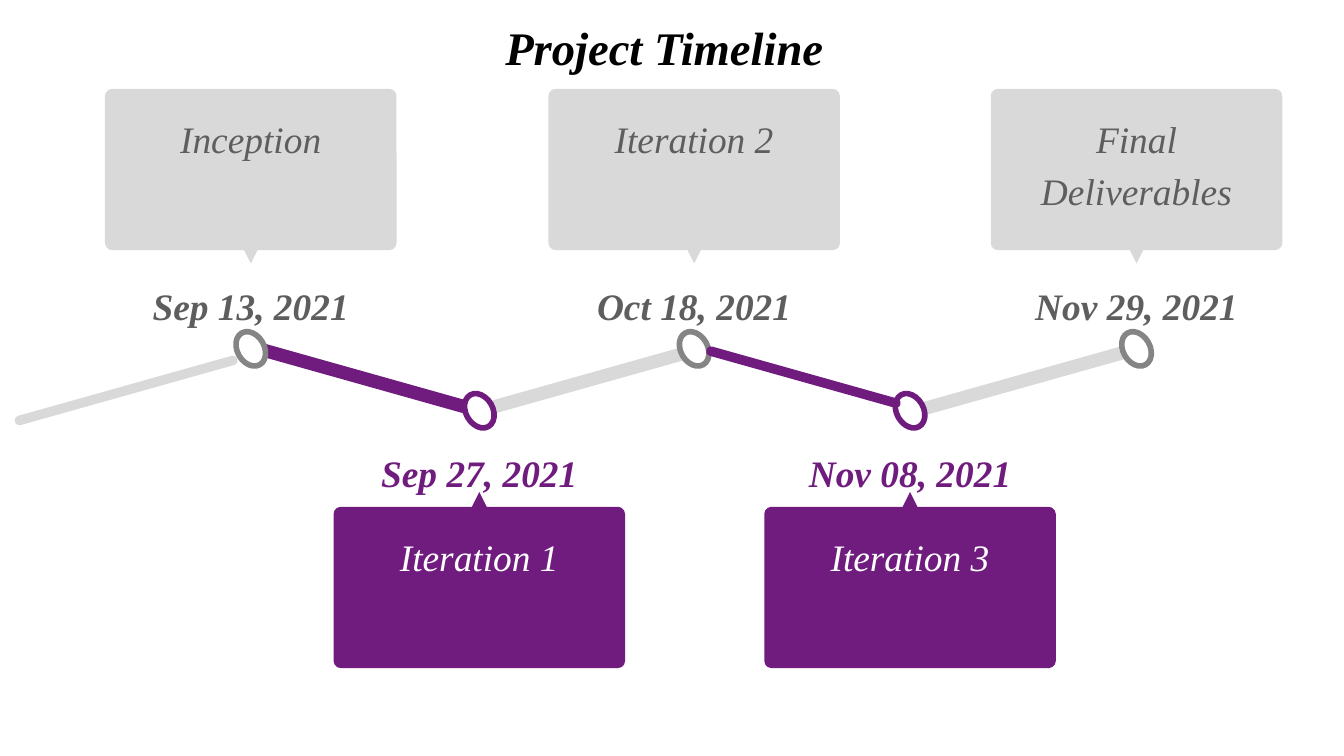
from pptx import Presentation
from pptx.dml.color import RGBColor
from pptx.enum.shapes import MSO_SHAPE as Shape
from pptx.enum.text import MSO_ANCHOR as Anchor, MSO_AUTO_SIZE as AutoSize, PP_ALIGN as Align
from pptx.util import Cm, Pt

BLACK = RGBColor(0x00, 0x00, 0x00)
WHITE = RGBColor(0xFF, 0xFF, 0xFF)
LIGHT_GREY = RGBColor(0xD9, 0xD9, 0xD9)
RING_GREY = RGBColor(0x85, 0x85, 0x85)
TEXT_GREY = RGBColor(0x5E, 0x5E, 0x5E)
PURPLE = RGBColor(0x70, 0x1C, 0x7F)

FONT = "Times New Roman"
INSET = 0.25
CARD_WIDTH, CARD_HEIGHT = 5.51, 3.05
LABEL_MARGIN = 0.14
DOT_WIDTH, DOT_HEIGHT = 0.51, 0.69
POINTER_SIZE = 0.28
SLOPE = 15.7

# Tops of the parts, measured from the top of the milestone
ABOVE = {"card": 0, "pointer": 3.02, "date": 3.3, "dot": 4.57}
BELOW = {"dot": 0, "date": 0.71, "pointer": 1.88, "card": 2.16}
ABOVE_TOP, BELOW_TOP = 1.68, 7.42

# Centre, name, date, whether the card is above the line
MILESTONES = [
    (13.12, "Iteration 2", "Oct 18, 2021", True),
    (9.06, "Iteration 1", "Sep 27, 2021", False),
    (21.48, "Final Deliverables", "Nov 29, 2021", True),
    (4.74, "Inception", "Sep 13, 2021", True),
    (17.2, "Iteration 3", "Nov 08, 2021", False),
]

# Left, top, width, height, rising or falling
BARS_BEHIND = [
    (17.17, 7.06, 4.42, 0.25, True),
    (8.92, 7.06, 4.42, 0.25, True),
    (4.78, 7.06, 4.42, 0.25, False),
]
BARS_IN_FRONT = [
    (13.28, 7.04, 3.81, 0.18, False),
    (0.2, 7.29, 4.37, 0.18, True),
]


def set_insets(frame):
    frame.margin_left = frame.margin_right = Cm(INSET)
    frame.margin_top = frame.margin_bottom = Cm(INSET)
    frame.vertical_anchor = Anchor.TOP
    frame.word_wrap = True


def set_font(para, size, color, bold):
    font = para.font
    font.name, font.size = FONT, Pt(size)
    font.bold, font.italic = bold, True
    font.color.rgb = color


def add_filled(shapes, kind, box, fill, rotation=0):
    shape = shapes.add_shape(kind, *map(Cm, box))
    shape.shadow.inherit = False
    shape.fill.solid()
    shape.fill.fore_color.rgb = fill
    shape.line.fill.background()
    shape.rotation = rotation
    return shape


def add_text(shapes, box, text, color, bold=False):
    frame = shapes.add_textbox(*map(Cm, box)).text_frame
    set_insets(frame)
    para = frame.paragraphs[0]
    para.text = text
    para.alignment = Align.CENTER
    para.line_spacing = 1.15
    set_font(para, 20, color, bold)


def add_title(page, left, top, width, height):
    title = page.shapes.title
    title.left, title.top, title.width, title.height = map(Cm, (left, top, width, height))
    frame = title.text_frame
    set_insets(frame)
    frame.auto_size = AutoSize.SHAPE_TO_FIT_TEXT
    para = frame.paragraphs[0]
    para.text = "Project Timeline"
    para.alignment = Align.LEFT
    indents = para._p.get_or_add_pPr()
    indents.set("marL", str(Cm(2.54)))
    indents.set("indent", str(Cm(1.27)))
    set_font(para, 25, BLACK, True)


def add_bars(page, bars):
    for *box, rising in bars:
        color, angle = (LIGHT_GREY, -SLOPE) if rising else (PURPLE, SLOPE)
        bar = add_filled(page.shapes, Shape.ROUNDED_RECTANGLE, box, color, angle)
        bar.adjustments[0] = 0.5


def add_milestone(page, center, name, date, above):
    """Group a dot, a date and a card that points at them."""
    if above:
        top, offsets, turn = ABOVE_TOP, ABOVE, 180
        fill, ring, date_color, name_color = LIGHT_GREY, RING_GREY, TEXT_GREY, TEXT_GREY
    else:
        top, offsets, turn = BELOW_TOP, BELOW, 0
        fill, ring, date_color, name_color = PURPLE, PURPLE, PURPLE, WHITE
    shapes = page.shapes.add_group_shape().shapes
    label_width = CARD_WIDTH - 2 * LABEL_MARGIN

    def centered(part, width, height, shift=0):
        return center - width / 2, top + offsets[part] + shift, width, height

    dot = add_filled(shapes, Shape.OVAL, centered("dot", DOT_WIDTH, DOT_HEIGHT), WHITE, -29.8)
    dot.line.color.rgb = ring
    dot.line.width = Pt(3)

    date_size = (CARD_WIDTH, 0.94) if above else (label_width, 1.19)
    add_text(shapes, centered("date", *date_size), date, date_color, bold=True)

    card = add_filled(shapes, Shape.ROUNDED_RECTANGLE,
                      centered("card", CARD_WIDTH, CARD_HEIGHT), fill)
    card.adjustments[0] = 0.045
    add_filled(shapes, Shape.ISOSCELES_TRIANGLE,
               centered("pointer", POINTER_SIZE, POINTER_SIZE), fill, turn)
    add_text(shapes, centered("card", label_width, 2.69, LABEL_MARGIN), name, name_color)


def main():
    deck = Presentation()
    deck.slide_width, deck.slide_height = Cm(25.4), Cm(14.29)
    page = deck.slides.add_slide(deck.slide_layouts[5])
    add_title(page, 5.49, 0.1, 12.62, 1.57)
    add_bars(page, BARS_BEHIND)
    for milestone in MILESTONES:
        add_milestone(page, *milestone)
    add_bars(page, BARS_IN_FRONT)
    deck.save("out.pptx")


if __name__ == "__main__":
    main()
